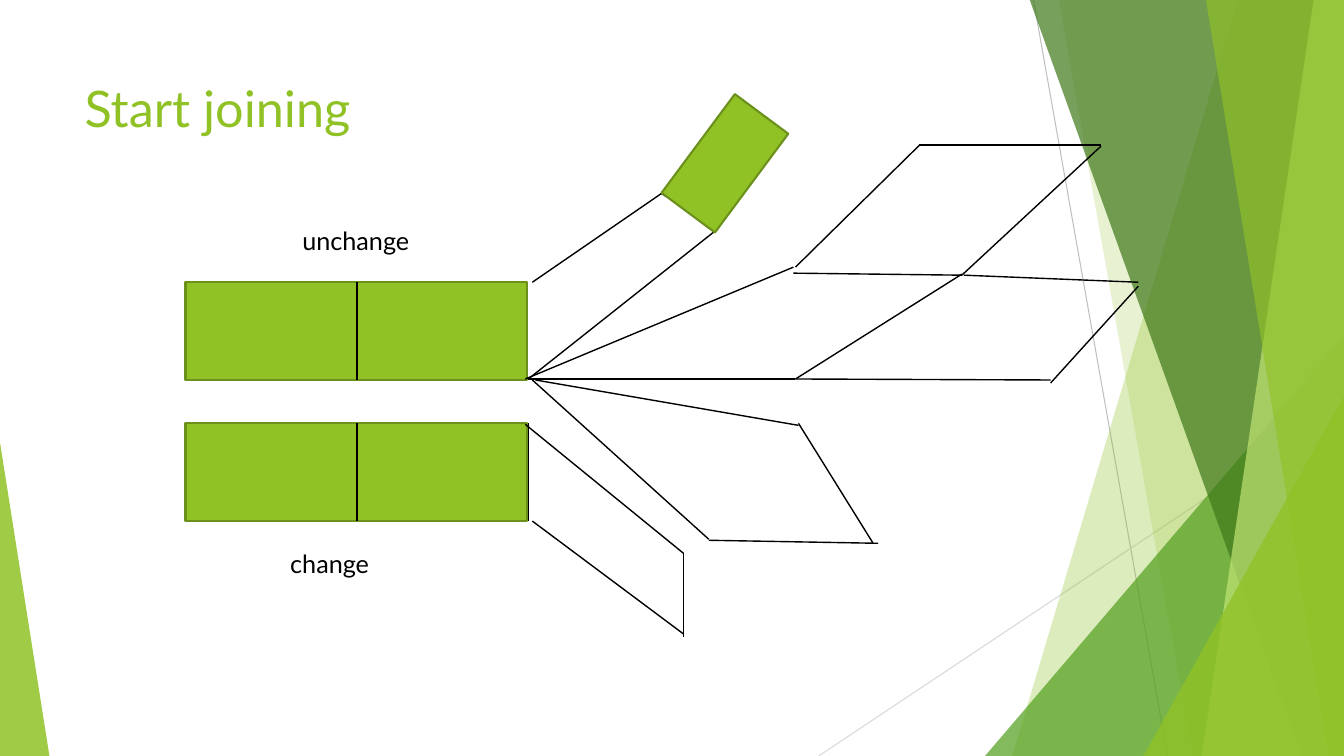
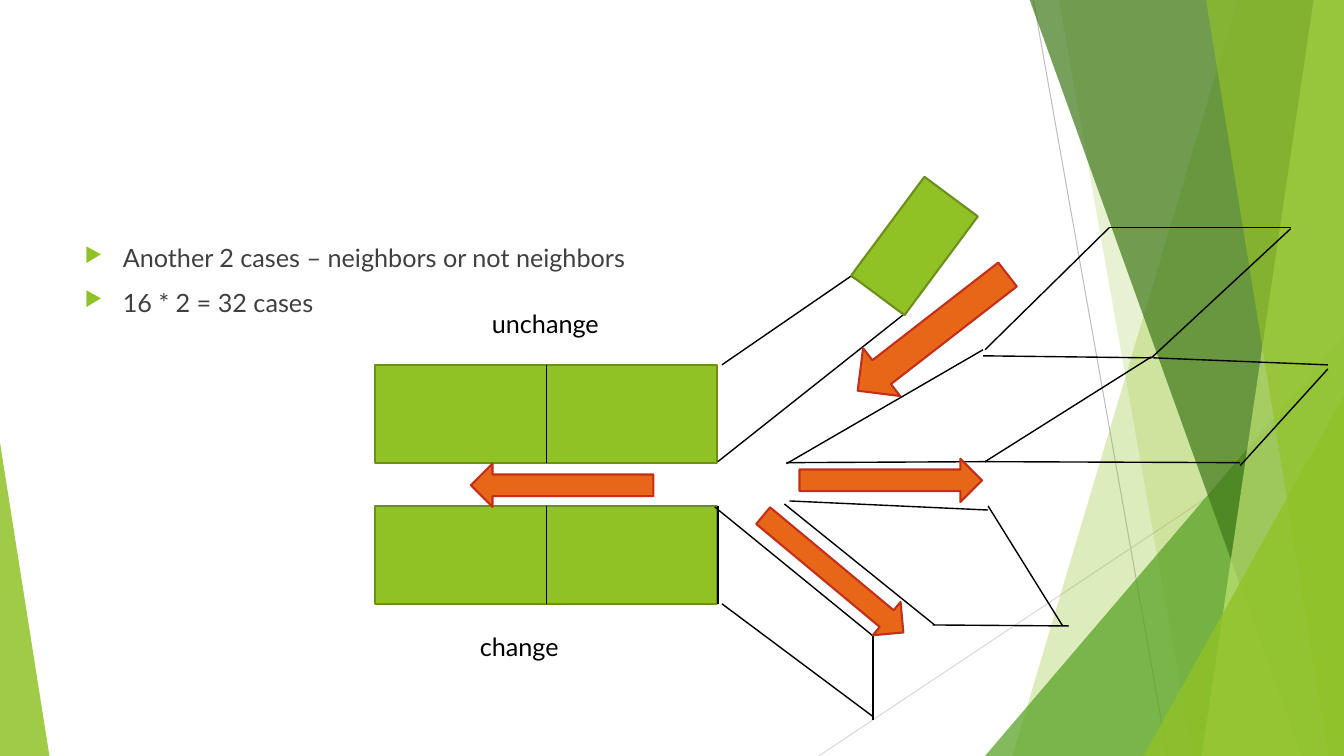
import pptx
import pptx.dml.color
import pptx.enum.shapes
import pptx.oxml
import pptx.oxml.ns
import pptx.util
from pptx.util import Inches

WIDTH, HEIGHT = 13.33, 7.5
SHAPES = pptx.enum.shapes.MSO_SHAPE
LIME, DARK_LIME, PALE_LIME = "90C226", "6B901C", "C0E474"
GREEN, FOREST = "54A021", "3F7819"
ORANGE, RED = "E76618", "C42F1A"
BLACK, GRAY = "000000", "404040"


def color(hex_text):
    return pptx.dml.color.RGBColor.from_string(hex_text)


def add_xml(parent, tag, **attributes):
    child = pptx.oxml.parse_xml(f"<a:{tag} {pptx.oxml.ns.nsdecls('a')}/>")
    for key, value in attributes.items():
        child.set(key, str(value))
    parent.append(child)
    return child


class Slides:
    """Holds the deck, its style and the current page."""

    font = "Lato"

    def __init__(self):
        self.deck = pptx.Presentation()
        self.deck.slide_width = Inches(WIDTH)
        self.deck.slide_height = Inches(HEIGHT)
        self.page = None

    def new_page(self):
        self.page = self.deck.slides.add_slide(self.deck.slide_layouts[6])
        self.backdrop()

    # Elements
    def paint(self, shape, fill, border=None, opacity=100):
        shape.shadow.inherit = False
        shape.fill.solid()
        shape.fill.fore_color.rgb = color(fill)
        if opacity < 100:
            tint = shape.fill._xPr.find(".//" + pptx.oxml.ns.qn("a:srgbClr"))
            add_xml(tint, "alpha", val=opacity * 1000)
        if border:
            shape.line.color.rgb = color(border)
            shape.line.width = pptx.util.Pt(1.5)
        else:
            shape.line.fill.background()

    def shape(self, kind, left, top, width, height, fill, border=None,
              opacity=100, turn=0, adjust=None):
        shape = self.page.shapes.add_shape(
            kind, Inches(left), Inches(top), Inches(width), Inches(height))
        shape.rotation = turn
        if adjust is not None:
            shape.adjustments[0] = adjust
        self.paint(shape, fill, border, opacity)

    def band(self, top_left, bottom_left, fill, opacity):
        """Fill from a slanted left edge to the right side of the page."""
        top = -0.01
        corners = [(WIDTH, top), (WIDTH, HEIGHT), (bottom_left, HEIGHT)]
        outline = self.page.shapes.build_freeform(
            Inches(top_left), Inches(top), scale=1.0)
        outline.add_line_segments(
            [(Inches(x), Inches(y)) for x, y in corners], close=True)
        self.paint(outline.convert_to_shape(), fill, opacity=opacity)

    def line(self, x1, y1, x2, y2, stroke=BLACK, weight=1):
        line = self.page.shapes.add_connector(
            pptx.enum.shapes.MSO_CONNECTOR.STRAIGHT,
            Inches(x1), Inches(y1), Inches(x2), Inches(y2))
        line.line.color.rgb = color(stroke)
        line.line.width = pptx.util.Pt(weight)
        add_xml(line._element.spPr, "effectLst")

    def text(self, left, top, width, height, lines, size=18, ink=BLACK,
             wrap=True, bullets=False):
        box = self.page.shapes.add_textbox(
            Inches(left), Inches(top), Inches(width), Inches(height))
        frame = box.text_frame
        frame.word_wrap = wrap
        for index, words in enumerate(lines):
            para = frame.add_paragraph() if index else frame.paragraphs[0]
            if bullets:
                self.bullet(para)
            span = para.add_run()
            span.text = words
            span.font.name = self.font
            span.font.size = pptx.util.Pt(size)
            span.font.color.rgb = color(ink)

    def bullet(self, para):
        para.space_before = pptx.util.Pt(10)
        style = para._p.get_or_add_pPr()
        style.set("marL", str(Inches(0.38)))
        style.set("indent", str(-Inches(0.38)))
        add_xml(add_xml(style, "buClr"), "srgbClr", val=LIME)
        add_xml(style, "buSzPct", val=80000)
        add_xml(style, "buChar", char="▶")

    def title(self, words):
        self.text(0.74, 0.72, 9.4, 1.44, [words], size=36, ink=LIME)

    # Shared decoration
    def backdrop(self):
        self.line(10.25, 0, 11.58, HEIGHT, "BFBFBF", 0.75)
        self.line(WIDTH, 4.03, 8.12, HEIGHT, "D9D9D9", 0.75)
        self.band(12.28, 10.04, LIME, 30)
        self.band(10.5, 11.83, LIME, 20)
        self.corner(9.77, 3.33, 3.56, GREEN, 72, 1)
        self.band(10.21, 12.91, FOREST, 70)
        self.band(13.03, 11.92, PALE_LIME, 70)
        self.band(11.96, 13.18, LIME, 65)
        self.corner(11.34, 3.93, 1.99, LIME, 80, 1)
        self.corner(0, 4.39, 0.49, LIME, 85, 0)

    def corner(self, left, top, width, fill, opacity, apex):
        self.shape(SHAPES.ISOSCELES_TRIANGLE, left, top, width, HEIGHT - top,
                   fill, opacity=opacity, adjust=apex)

    # Joining diagram, shared by both pages
    def diagram(self, dx, dy, fan):
        block_width, block_height = 3.39, 0.97
        tops = (2.8, 4.2)
        for top in tops:
            self.shape(SHAPES.RECTANGLE, 1.84 + dx, top + dy, block_width,
                       block_height, LIME, DARK_LIME)
        for top in tops:
            self.line(3.54 + dx, top + dy, 3.54 + dx, top + block_height + dy)
        self.text(2.78 + dx, 5.39 + dy, 1.08, 0.4, ["change"])
        self.text(2.9 + dx, 2.19 + dy, 1.28, 0.4, ["unchange"], wrap=False)
        for x1, y1, x2, y2 in JOINING_LINES + fan:
            self.line(x1 + dx, y1 + dy, x2 + dx, y2 + dy)
        self.shape(SHAPES.RECTANGLE, 6.58 + dx, 1.29 + dy, 1.22, 0.66,
                   LIME, DARK_LIME, turn=306.6)

    def arrow(self, left, top, width, height, turn):
        self.shape(SHAPES.DOWN_ARROW, left, top, width, height,
                   ORANGE, RED, turn=turn)


JOINING_LINES = [
    # Branch to the tilted block
    (5.24, 3.76, 7.12, 2.27), (5.28, 2.8, 6.56, 1.92),
    (6.56, 1.92, 7.12, 2.26),
    # Lower branch
    (5.21, 4.21, 6.78, 5.49), (5.28, 5.17, 6.78, 6.29),
    (6.78, 5.49, 6.78, 6.32), (5.24, 5.17, 5.24, 4.2),
    # Overlapping parallelograms on the right
    (9.54, 2.72, 7.89, 3.76), (7.89, 2.65, 9.12, 1.44),
    (9.12, 1.44, 10.92, 1.44), (10.92, 1.45, 9.54, 2.73),
    (7.87, 2.71, 9.54, 2.73), (7.89, 3.76, 10.42, 3.77),
    (10.42, 3.8, 11.29, 2.84), (11.29, 2.8, 9.56, 2.73),
    # Far side of the middle branch
    (7.92, 4.2, 8.66, 5.39),
]
JOINED_FAN = [
    (5.24, 3.76, 7.89, 3.76), (7.87, 2.65, 5.21, 3.76),
    (7.03, 5.36, 8.71, 5.39), (7.03, 5.35, 5.28, 3.77),
    (7.92, 4.22, 5.31, 3.77),
]
SEPARATE_FAN = [
    (5.92, 3.77, 7.9, 3.76), (7.87, 2.65, 5.92, 3.78),
    (7.37, 5.38, 8.72, 5.39), (7.39, 5.38, 5.9, 4.18),
    (7.92, 4.24, 5.95, 4.15),
]


def main():
    slides = Slides()

    # Start joining
    slides.new_page()
    slides.title("Start joining")
    slides.diagram(0, 0, JOINED_FAN)

    # Neighbor cases
    slides.new_page()
    slides.text(0.74, 2.36, 9.4, 4.24,
                ["Another 2 cases – neighbors or not neighbors",
                 "16 * 2 = 32 cases"], ink=GRAY, bullets=True)
    slides.diagram(1.88, 0.82, SEPARATE_FAN)
    slides.arrow(8.95, 2.36, 0.6, 1.88, 52.2)
    for left, top, turn in [(5.36, 3.91, 90), (8.62, 3.86, 270),
                            (8.05, 4.79, 309.8)]:
        slides.arrow(left, top, 0.43, 1.81, turn)

    slides.deck.save("out.pptx")


if __name__ == "__main__":
    main()
